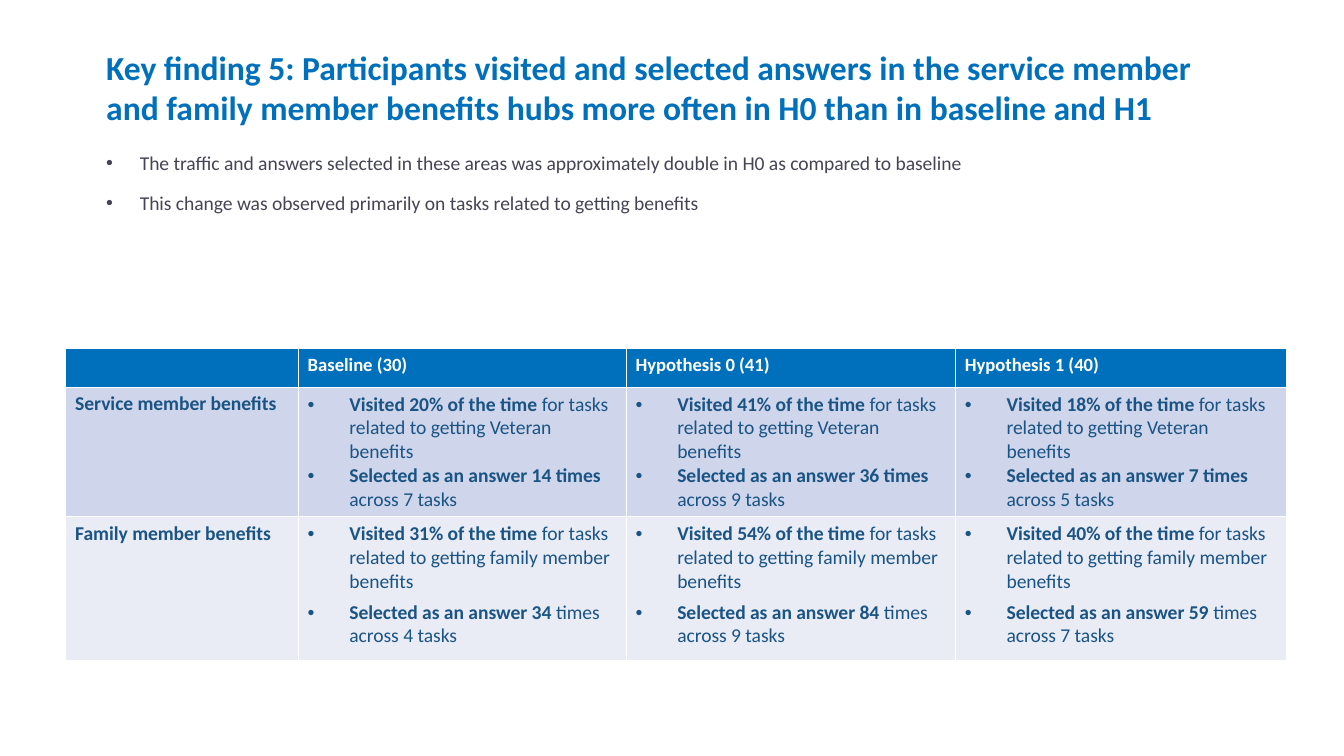
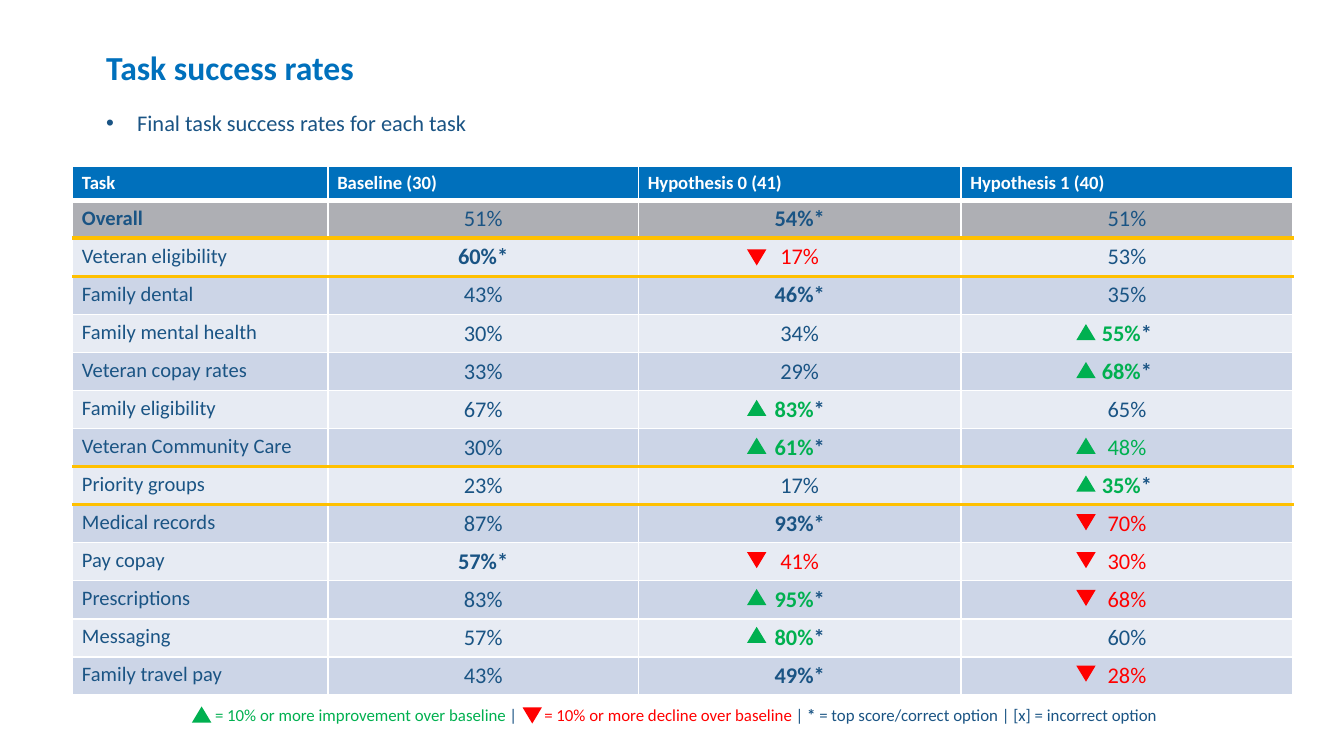
from lxml.etree import SubElement
from pptx import Presentation
from pptx.dml.color import RGBColor
from pptx.enum.shapes import MSO_SHAPE
from pptx.enum.text import MSO_ANCHOR, MSO_AUTO_SIZE, PP_ALIGN
from pptx.oxml.ns import qn
from pptx.util import Inches, Pt

FONT = "Calibri"
BLUE = RGBColor(0x00, 0x70, 0xBC)
NAVY = RGBColor(0x1A, 0x54, 0x84)
SLATE = RGBColor(0x45, 0x44, 0x54)
WHITE = RGBColor(0xFF, 0xFF, 0xFF)
GREEN = RGBColor(0x00, 0xB0, 0x50)
RED = RGBColor(0xFF, 0x00, 0x00)
GOLD = RGBColor(0xFF, 0xC0, 0x00)
GRAY = RGBColor(0xAE, 0xAF, 0xB4)
BENEFIT_FILLS = [RGBColor(0xCF, 0xD5, 0xEA), RGBColor(0xE9, 0xEB, 0xF5)]
TASK_FILLS = [RGBColor(0xE7, 0xEB, 0xF3), RGBColor(0xCC, 0xD5, 0xE7)]
GROUPS = ["Baseline (30)", "Hypothesis 0 (41)", "Hypothesis 1 (40)"]


def write(frame, paragraphs, size, color, bold=False, align=PP_ALIGN.LEFT,
          bullet=None, after=0, spacing=1.0, tabs=()):
    for index, runs in enumerate(paragraphs):
        paragraph = frame.add_paragraph() if index else frame.paragraphs[0]
        paragraph.alignment = align
        paragraph.line_spacing = spacing
        paragraph.space_before = Pt(0)
        paragraph.space_after = Pt(after)
        properties = paragraph._p.get_or_add_pPr()
        if bullet:
            properties.set("marL", str(Inches(bullet)))
            properties.set("indent", str(-Inches(bullet)))
            SubElement(properties, qn("a:buFont"), typeface="Arial")
            SubElement(properties, qn("a:buChar"), char="•")
        if tabs:
            stops = SubElement(properties, qn("a:tabLst"))
            for stop in tabs:
                SubElement(stops, qn("a:tab"), pos=str(Inches(stop)), algn="l")
        if not runs:
            SubElement(paragraph._p, qn("a:endParaRPr"), sz=str(size * 100))
        if isinstance(runs, str):
            runs = [(runs, {})] if runs else []
        for text, changes in runs:
            run = paragraph.add_run()
            run.text = text
            run.font.name = FONT
            run.font.size = Pt(size)
            run.font.bold = changes.get("bold", bold)
            run.font.color.rgb = changes.get("color", color)


def style_cell(cell, fill, side, top, bottom):
    properties = cell._tc.get_or_add_tcPr()
    for edge, (color, width) in zip("LRTB", (side, side, top, bottom)):
        line = SubElement(properties, qn(f"a:ln{edge}"), w=str(Pt(width)))
        SubElement(SubElement(line, qn("a:solidFill")), qn("a:srgbClr"), val=str(color))
    cell.fill.solid()
    cell.fill.fore_color.rgb = fill
    cell.margin_left = cell.margin_right = Inches(0.07)
    cell.margin_top = cell.margin_bottom = Inches(0.04)


deck = Presentation()
deck.slide_width = Inches(10)
deck.slide_height = deck.slide_width * 9 // 16

openings = [
    {
        "title": "Key finding 5: Participants visited and selected answers in the service member "
                 "and family member benefits hubs more often in H0 than in baseline and H1",
        "title_height": 0.71,
        "points": [
            "The traffic and answers selected in these areas was approximately double in H0 "
            "as compared to baseline",
            "This change was observed primarily on tasks related to getting benefits",
        ],
        "box": (0.69, 1.04, 8.83, 1.35),
        "format": dict(size=10.5, color=SLATE, bullet=0.25, after=6, spacing=1.2),
    },
    {
        "title": "Task success rates",
        "title_height": 0.4,
        "points": ["Final task success rates for each task"],
        "box": (0.69, 0.76, 8.62, 0.3),
        "format": dict(size=12, color=NAVY, bullet=0.23),
    },
]
slides = []
for opening in openings:
    slide = deck.slides.add_slide(deck.slide_layouts[1])
    title, body = slide.placeholders
    boxes = [(0.69, 0.3, 8.62, opening["title_height"]), opening["box"]]
    for part, box in zip((title, body), boxes):
        part.left, part.top, part.width, part.height = map(Inches, box)
        part.text_frame.word_wrap = True
        part.text_frame.auto_size = MSO_AUTO_SIZE.NONE
        part.text_frame.vertical_anchor = MSO_ANCHOR.TOP
    write(title.text_frame, [opening["title"]], size=18, color=BLUE, bold=True)
    write(body.text_frame, opening["points"], **opening["format"])
    slides.append(slide)
finding, rates = slides

benefits = [
    ("Service member benefits", "Veteran", " times ", "",
     [(20, 14, 7), (41, 36, 9), (18, 7, 5)], MSO_ANCHOR.MIDDLE, 0),
    ("Family member benefits", "family member", " ", "times ",
     [(31, 34, 4), (54, 84, 9), (40, 59, 7)], MSO_ANCHOR.TOP, 4),
]
benefit_table = finding.shapes.add_table(
    3, 4, Inches(0.49), Inches(2.59), Inches(9.08), Inches(2.24)).table
for column, width in zip(benefit_table.columns, (1.73, 2.44, 2.45, 2.46)):
    column.width = Inches(width)
for row, height in zip(benefit_table.rows, (0.29, 0.88, 1.07)):
    row.height = Inches(height)
thin = (WHITE, 0.5)
for column, heading in enumerate(["", *GROUPS]):
    cell = benefit_table.cell(0, column)
    style_cell(cell, BLUE, thin, thin, thin)
    write(cell.text_frame, [heading], size=10, color=WHITE, bold=True)
for row, (label, audience, bold_end, plain_start, results, anchor, after) in enumerate(benefits, 1):
    for column in range(4):
        style_cell(benefit_table.cell(row, column), BENEFIT_FILLS[row - 1], thin, thin, thin)
    write(benefit_table.cell(row, 0).text_frame, [label],
          size=10.5, color=NAVY, bold=True, after=after)
    for column, (visited, selected, tasks) in enumerate(results, 1):
        cell = benefit_table.cell(row, column)
        cell.vertical_anchor = anchor
        write(cell.text_frame, [
            [(f"Visited {visited}% of the time ", {"bold": True}),
             (f"for tasks related to getting {audience} benefits", {})],
            [(f"Selected as an answer {selected}{bold_end}", {"bold": True}),
             (f"{plain_start}across {tasks} tasks", {})],
        ], size=10.5, color=NAVY, bullet=0.31, after=after)

success = [
    ("Overall", 51, 54, 51),
    ("Veteran eligibility", 60, 17, 53),
    ("Family dental", 43, 46, 35),
    ("Family mental health", 30, 34, 55),
    ("Veteran copay rates", 33, 29, 68),
    ("Family eligibility", 67, 83, 65),
    ("Veteran Community Care", 30, 61, 48),
    ("Priority groups", 23, 17, 35),
    ("Medical records", 87, 93, 70),
    ("Pay copay", 57, 41, 30),
    ("Prescriptions", 83, 95, 68),
    ("Messaging", 57, 80, 60),
    ("Family travel pay", 43, 49, 28),
]
table_top, header_height = 1.24, 0.25
row_height = 3.66 / len(success)
marker_lefts = {2: 5.57, 3: 8.02}
markers = [(1.44, 5.27, True), (3.9, 5.27, False)]

rate_table = rates.shapes.add_table(
    len(success) + 1, 4, Inches(0.54), Inches(table_top), Inches(9.08), Inches(3.91)).table
for column, width in zip(rate_table.columns, (1.9, 2.31, 2.4, 2.47)):
    column.width = Inches(width)
for row in rate_table.rows:
    row.height = Inches(row_height)
rate_table.rows[0].height = Inches(header_height)

plain = (WHITE, 1)
row_edges = [plain] * (len(success) + 1)
row_edges[0] = (WHITE, 3)
for row in (1, 2, 7, 8):
    row_edges[row] = (GOLD, 2.25)

for column, heading in enumerate(["Task", *GROUPS]):
    cell = rate_table.cell(0, column)
    style_cell(cell, BLUE, plain, plain, row_edges[0])
    write(cell.text_frame, [heading], size=10, color=WHITE, bold=True)
for row, (task, *scores) in enumerate(success, 1):
    fill = GRAY if row == 1 else TASK_FILLS[row % 2]
    for column in range(4):
        style_cell(rate_table.cell(row, column), fill, plain, row_edges[row - 1], row_edges[row])
    write(rate_table.cell(row, 0).text_frame, [task], size=11, color=NAVY, bold=row == 1)
    for column, score in enumerate(scores, 1):
        change = score - scores[0]
        color = GREEN if change >= 10 else RED if change <= -10 else NAVY
        top_score = score == max(scores)
        runs = [(f"{score}%", {"color": color})]
        if top_score:
            runs.append(("*", {}))
        write(rate_table.cell(row, column).text_frame, [runs],
              size=12, color=NAVY, bold=top_score, align=PP_ALIGN.CENTER)
        if color != NAVY:
            middle = table_top + header_height + row_height * (row - 0.5)
            markers.append((marker_lefts[column], middle - 0.05, change > 0))

legend = rates.shapes.add_textbox(Inches(0.58), Inches(5.22), Inches(9.05), Inches(0.22)).text_frame
legend.word_wrap = True
legend.margin_left, legend.margin_right = Inches(1.02), Inches(0.07)
legend.margin_top = legend.margin_bottom = Inches(0.04)
write(legend, [[
    ("= 10% or more improvement over baseline", {"color": GREEN}),
    (" |\t", {}),
    ("= 10% or more decline over baseline ", {"color": RED}),
    ("| ", {}),
    ("*", {"bold": True}),
    (" = top score/correct option | [x] = incorrect option", {}),
]], size=9, color=NAVY, spacing=0.9, tabs=[2.45])

for left, top, improved in markers:
    marker = rates.shapes.add_shape(
        MSO_SHAPE.ISOSCELES_TRIANGLE, Inches(left), Inches(top), Inches(0.12), Inches(0.1))
    marker.shadow.inherit = False
    marker.rotation = 0 if improved else 180
    marker.fill.solid()
    marker.fill.fore_color.rgb = marker.line.color.rgb = GREEN if improved else RED
    marker.line.width = Pt(1)
    SubElement(marker.line._get_or_add_ln(), qn("a:miter"), lim="800000")

deck.save("out.pptx")
